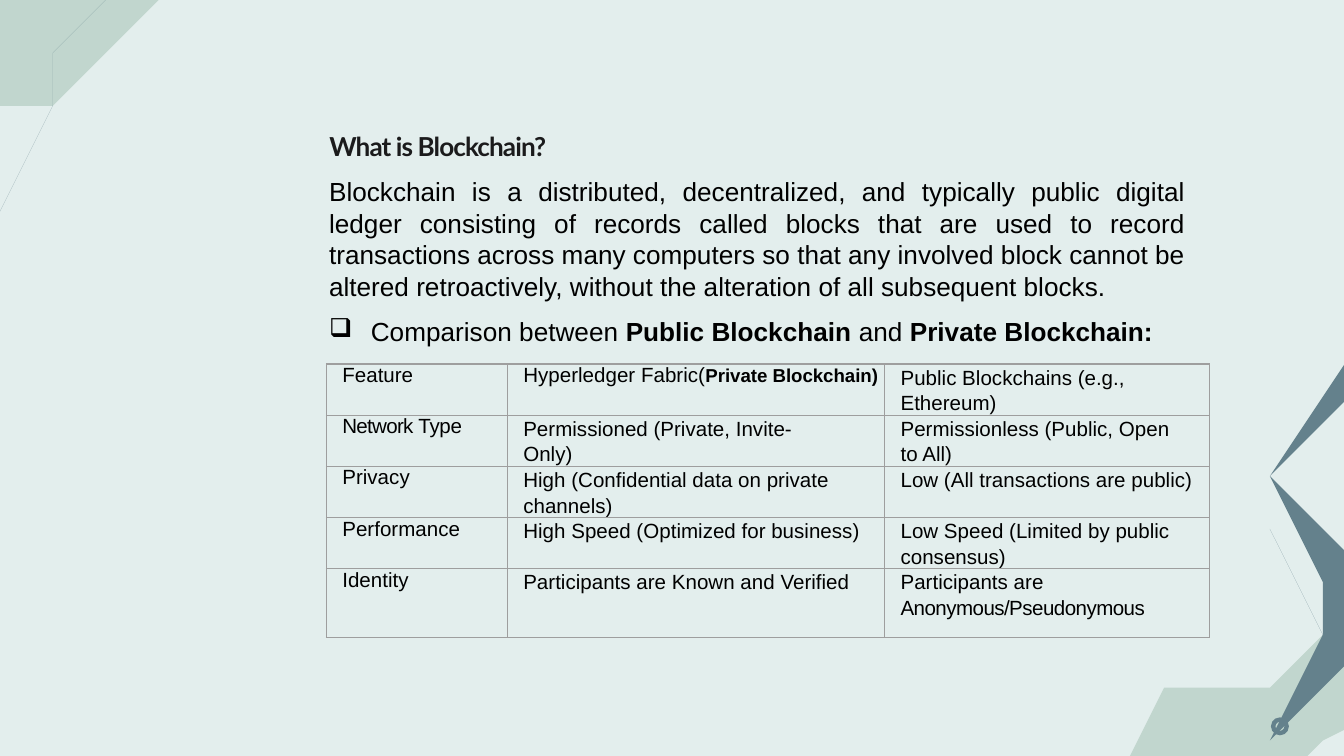
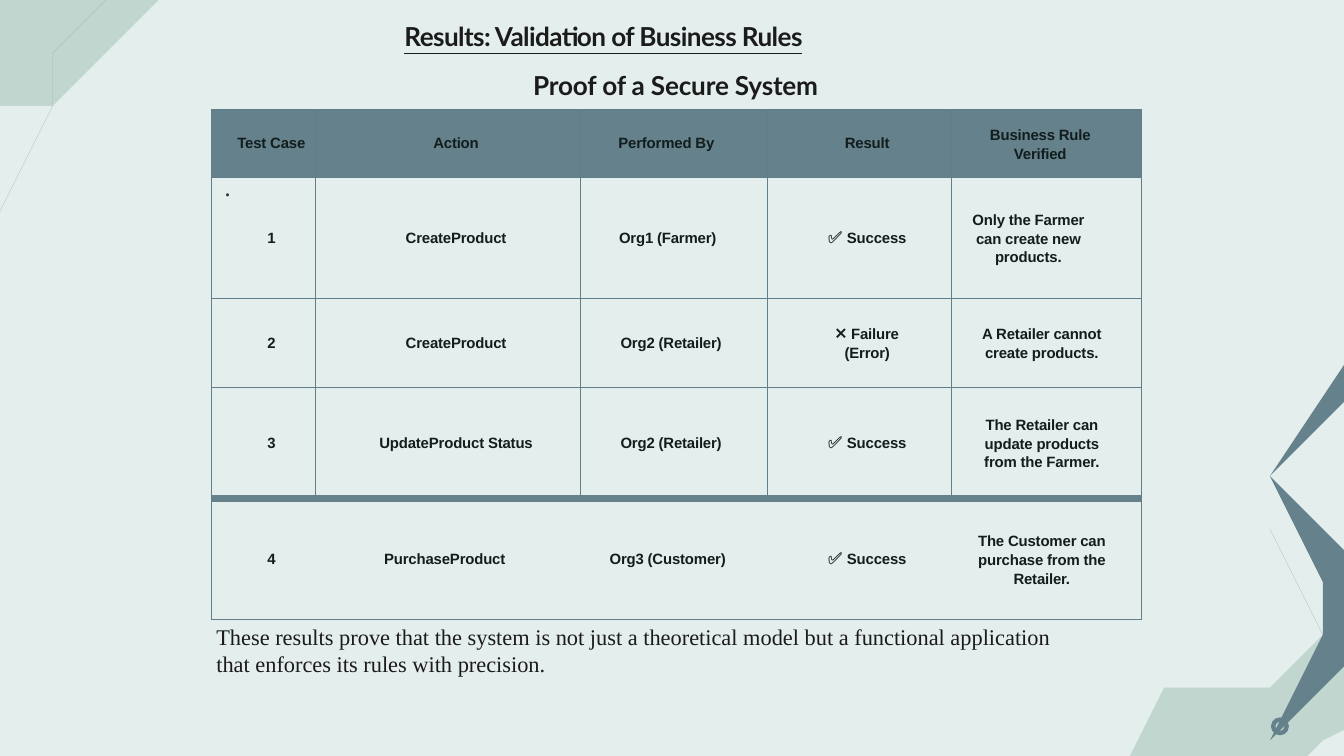
from lxml import etree
from pptx import Presentation
from pptx import util as u
from pptx.dml.color import RGBColor
from pptx.enum import shapes, text
from pptx.oxml.ns import qn

COLORS = {
    "paper": "E3EEED", "band": "C1D6CE", "slate": "64818C", "rule": "617F8A",
    "grey": "9E9E9E", "black": "000000", "heading": "1B1B1C",
    "cell": "121D1C", "dot": "383536", "caption": "1C1A1B",
}
LEFT, CENTER, JUSTIFY = (text.PP_ALIGN.LEFT, text.PP_ALIGN.CENTER,
                         text.PP_ALIGN.JUSTIFY)
TOP, MIDDLE = text.MSO_ANCHOR.TOP, text.MSO_ANCHOR.MIDDLE
HEADING = dict(font="Lato", size=14, color="heading", bold=True)
BODY = dict(font="Arial", size=14, color="black")
SERIF = dict(font="Times New Roman", size=14, color="dot")
NO_STYLE = "{2D5ABB26-0587-4C30-8999-92F81FD0307C}"

# Corner ornaments, in centimetres
ORNAMENTS = [
    ("band", [(3.02, -1.83), (1.65, -0.46), (0.41, -0.46), (-2.39, 2.34),
              (0.23, 2.34), (1.04, 1.55), (1.32, 1.55), (4.7, -1.83)]),
    ("slate", [(3.07, -1.3), (1.14, 0.64), (1.14, 2.41), (-0.3, 3.86),
               (-0.28, 3.89), (1.19, 2.44), (1.19, 0.64), (3.1, -1.27)]),
    ("band", [(26.09, 10.67), (23.55, 13.21), (22.4, 13.21), (20.96, 14.66),
              (20.96, 15.32), (20.04, 16.23), (22.53, 16.23), (24.61, 14.17),
              (25.37, 14.17), (26.87, 12.67), (26.87, 12.27), (28.47, 10.67)]),
    ("slate", [(30.94, 3.35), (28.47, 5.82), (26.49, 5.82), (23.77, 8.53),
               (23.77, 9.4), (25.43, 11.05), (25.43, 12.4), (24.21, 13.61),
               (24.28, 13.69), (25.53, 12.45), (25.53, 11), (23.88, 9.35),
               (23.88, 8.59), (26.54, 5.92), (28.5, 5.92), (31.01, 3.4)]),
    ("slate", [(23.93, 9.5), (23.93, 10.44), (25.45, 11.96), (25.48, 11.94),
               (23.98, 10.41), (23.98, 9.5)]),
]
RING = (24.02, 13.56, 0.34, 0.34)

# Slide 1 content
DEFINITION = [
    "Blockchain is a distributed, decentralized, and typically public digital "
    "ledger consisting of records called blocks that are used to record "
    "transactions across many computers so that any involved block cannot be",
    "altered retroactively, without the alteration of all subsequent blocks.",
]
COMPARISON_LEAD = [["Comparison between ", ("Public Blockchain", dict(bold=True)),
                    " and ", ("Private Blockchain:", dict(bold=True))]]
COMPARISON = [
    ["Feature",
     [["Hyperledger Fabric(",
       ("Private Blockchain)", dict(size=10, bold=True, tracking=0))]],
     "Public Blockchains (e.g., Ethereum)"],
    [[[("Network ", dict(tracking=-0.4)), ("Type", dict(tracking=-0.2))]],
     "Permissioned (Private, Invite-Only)", "Permissionless (Public, Open to All)"],
    ["Privacy", "High (Confidential data on private channels)",
     "Low (All transactions are public)"],
    ["Performance", "High Speed (Optimized for business)",
     "Low Speed (Limited by public consensus)"],
    ["Identity", "Participants are Known and Verified",
     [["Participants are ", ("Anonymous/Pseudonymous", dict(tracking=-0.3))]]],
]
COMPARISON_FORMATS = {(0, 1): dict(spacing=None), (1, 1): dict(right=1.3),
                      (1, 2): dict(right=0.64)}

# Slide 2 content
RESULTS_TITLE = "Results: Validation of Business Rules"
SUBTITLE = "Proof of a Secure System"
CONCLUSION = ("These results prove that the system is not just a theoretical model "
              "but a functional application that enforces its rules with precision.")
SUCCESS = [[("✅ ", dict(size=9)), "Success"]]
FAILURE = [[("❌ ", dict(size=9)), "Failure"], "(Error)"]
TESTS = [
    ["Test Case", "Action", "Performed By", "Result", "Business Rule Verified"],
    ["1", "CreateProduct", "Org1 (Farmer)", SUCCESS,
     "Only the Farmer can create new products."],
    ["2", "CreateProduct", "Org2 (Retailer)", FAILURE,
     "A Retailer cannot create products."],
    ["3", "UpdateProduct Status", "Org2 (Retailer)", SUCCESS,
     "The Retailer can update products from the Farmer."],
    ["4", "PurchaseProduct", "Org3 (Customer)", SUCCESS,
     "The Customer can purchase from the Retailer."],
]
TEST_FORMATS = {
    (0, 2): dict(left=0, right=0.28), (1, 2): dict(left=0.05, right=0.28),
    (2, 2): dict(left=0.18, right=0.28), (3, 2): dict(left=0.18, right=0.28),
    (4, 2): dict(right=0.53), (4, 1): dict(right=0.43),
    (0, 4): dict(right=0.53), (1, 4): dict(right=0.98), (2, 4): dict(right=0.47),
    (3, 4): dict(right=0.47), (4, 4): dict(right=0.47),
}


def rgb(name):
    return RGBColor.from_string(COLORS[name])


def cm(values):
    return [u.Cm(value) for value in values]


def add_color(parent, name):
    etree.SubElement(parent, qn("a:srgbClr"), val=COLORS[name])


def write(frame, content, *, align=LEFT, left=0, right=0, hanging=0, bullet=None,
          spacing=None, gap=0, **style):
    """Fill a frame with paragraphs made of plain or (text, format) spans."""
    paragraphs = [content] if isinstance(content, str) else content
    for index, spans in enumerate(paragraphs):
        para = frame.add_paragraph() if index else frame.paragraphs[0]
        para.alignment = align
        if spacing:
            para.line_spacing = spacing
        if index and gap:
            para.space_before = u.Pt(gap)
        props = para._p.get_or_add_pPr()
        for key, value in (("marL", left), ("marR", right), ("indent", -hanging)):
            props.set(key, str(u.Cm(value)))
        if bullet:
            add_color(etree.SubElement(props, qn("a:buClr")), style["color"])
            etree.SubElement(props, qn("a:buChar"), char=bullet)
        for item in [spans] if isinstance(spans, str) else spans:
            words, changes = (item, {}) if isinstance(item, str) else item
            look = {**style, **changes}
            span = para.add_run()
            span.text = words
            span.font.name = look["font"]
            span.font.size = u.Pt(look["size"])
            span.font.color.rgb = rgb(look["color"])
            span.font.bold = look.get("bold", False)
            span.font.underline = look.get("underline", False)
            tracking = round(look.get("tracking", 0) * 100)
            span._r.get_or_add_rPr().set("spc", str(tracking))


def set_frame(box, content, place, anchor=TOP, wrap=True, **style):
    box.left, box.top, box.width, box.height = cm(place)
    frame = box.text_frame
    frame.auto_size = text.MSO_AUTO_SIZE.NONE
    frame.word_wrap = wrap
    frame.vertical_anchor = anchor
    write(frame, content, **style)


def add_text(page, content, place, **style):
    set_frame(page.shapes.add_textbox(*cm(place)), content, place, **style)


def set_borders(cell, borders):
    """Draw the given sides, each a (colour, points) pair; hide the others."""
    props = cell._tc.get_or_add_tcPr()
    for side in "LRTB":
        color, width = borders.get(side, (None, 0))
        line = etree.SubElement(props, qn("a:ln" + side), w=str(u.Pt(width)))
        if color:
            add_color(etree.SubElement(line, qn("a:solidFill")), color)
        else:
            etree.SubElement(line, qn("a:noFill"))


def add_grid(page, rows, place, widths, heights, formats, borders_of,
             spaced_columns, anchor=TOP, header_fill=None, **style):
    frame = page.shapes.add_table(len(rows), len(widths), *cm(place))
    table = frame.table
    table.first_row = table.horz_banding = False
    frame.element.find(".//" + qn("a:tableStyleId")).text = NO_STYLE
    for column, width in zip(table.columns, widths):
        column.width = u.Cm(width)
    for line, height in zip(table.rows, heights):
        line.height = u.Cm(height)
    for row, contents in enumerate(rows):
        for col, content in enumerate(contents):
            cell = table.cell(row, col)
            cell.margin_left = cell.margin_right = 0
            cell.margin_top = cell.margin_bottom = 0
            cell.vertical_anchor = anchor
            set_borders(cell, borders_of(row, col))
            if header_fill and row == 0:
                cell.fill.solid()
                cell.fill.fore_color.rgb = rgb(header_fill)
            else:
                cell.fill.background()
            look = dict(left=0.3, spacing=1.12 if col in spaced_columns else None)
            look.update(style)
            look.update(formats.get((row, col), {}))
            write(cell.text_frame, content, **look)


def comparison_borders(row, col):
    return dict.fromkeys("LRTB", ("grey", 0.75))


def test_borders(row, col):
    """The last row is open inside and set off by a thick line."""
    thin, thick = ("rule", 0.75), ("slate", 4)
    last = len(TESTS) - 1
    borders = dict.fromkeys("LRTB", thin)
    if row == last - 1:
        borders["B"] = thick
    if row == last:
        borders["T"] = thick
        if col > 0:
            del borders["L"]
        if col < len(TESTS[0]) - 1:
            del borders["R"]
    return borders


def decorate_master(deck, page):
    """Build the background and ornaments, and hand them to the master."""
    master = deck.slide_master
    master.background.fill.solid()
    master.background.fill.fore_color.rgb = rgb("paper")
    ornaments = []
    for color, points in ORNAMENTS:
        builder = page.shapes.build_freeform(*points[0], scale=u.Cm(1))
        builder.add_line_segments(points[1:], close=True)
        ornaments.append((color, builder.convert_to_shape()))
    ring = page.shapes.add_shape(shapes.MSO_SHAPE.DONUT, *cm(RING))
    ornaments.append(("slate", ring))
    for number, (color, shape) in enumerate(ornaments, start=100):
        shape.shadow.inherit = False
        shape.fill.solid()
        shape.fill.fore_color.rgb = rgb(color)
        shape.line.fill.background()
        shape.element.nvSpPr.cNvPr.id = number
        master.shapes.element.append(shape.element)


def build_definition(page):
    set_frame(page.shapes.title, "What is Blockchain?", (5.97, 2.34, 5.16, 0.86),
              tracking=-0.5, **HEADING)
    add_text(page, DEFINITION, (5.97, 3.2, 16.69, 2.64), align=JUSTIFY, **BODY)
    add_text(page, COMPARISON_LEAD, (5.97, 5.84, 16.15, 2.06), wrap=False,
             left=0.79, hanging=0.79, bullet="❑", **BODY)
    add_grid(page, COMPARISON, (6.17, 6.88, 16.69, 5.28), [3.42, 7.13, 6.14],
             [0.94] * 4 + [1.3], COMPARISON_FORMATS, comparison_borders,
             spaced_columns=(1, 2), **{**BODY, "size": 11})


def build_results(page):
    set_frame(page.shapes.title, RESULTS_TITLE, (3.23, 0.1, 21.08, 1.17),
              anchor=MIDDLE, left=4.16, underline=True, tracking=-0.35, **HEADING)
    add_text(page, SUBTITLE, (1.52, 1.4, 22.5, 0.41), anchor=MIDDLE, align=CENTER,
             tracking=-0.1, **HEADING)
    add_text(page, ".", (3.99, 3.1, 16.69, 0.86), **SERIF)
    add_text(page, CONCLUSION, (3.84, 11.66, 16.69, 1.27),
             **{**SERIF, "size": 12, "color": "caption"})
    add_grid(page, TESTS, (3.99, 2.08, 17.58, 9.6), [1.98, 5, 3.53, 3.48, 3.59],
             [1.27, 2.29, 1.68, 2.1, 2.29], TEST_FORMATS, test_borders,
             spaced_columns=(4,), anchor=MIDDLE, header_fill="slate", align=CENTER,
             gap=1, font="Arial", size=8, color="cell", bold=True, tracking=-0.1)


def main():
    deck = Presentation()
    deck.slide_width, deck.slide_height = cm((25.4, 14.29))
    title_only = deck.slide_layouts[5]
    pages = [deck.slides.add_slide(title_only) for _ in range(2)]
    decorate_master(deck, pages[0])
    build_definition(pages[0])
    build_results(pages[1])
    deck.save("out.pptx")


if __name__ == "__main__":
    main()
